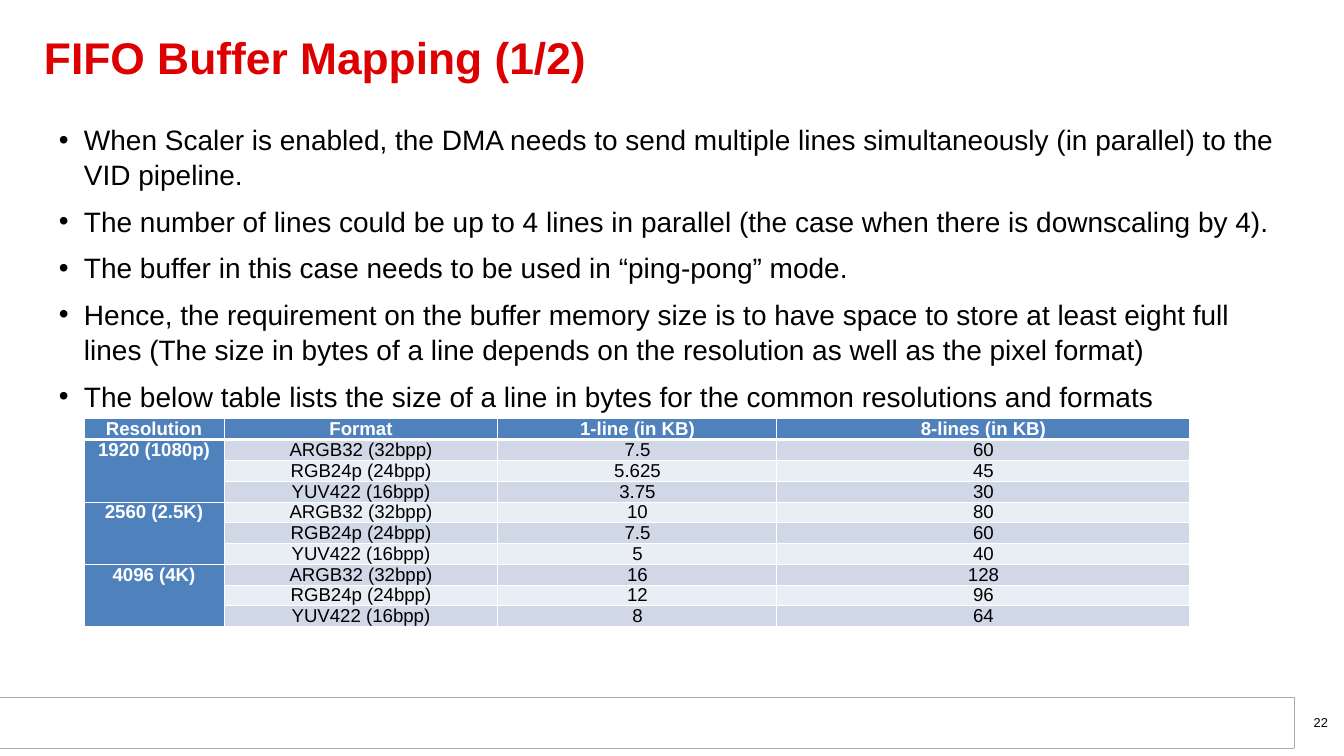
from lxml import etree
from pptx import Presentation
from pptx.dml.color import RGBColor
from pptx.enum.shapes import MSO_CONNECTOR, MSO_SHAPE
from pptx.enum.text import MSO_ANCHOR, MSO_AUTO_SIZE, PP_ALIGN
from pptx.oxml import parse_xml
from pptx.oxml.ns import nsdecls, qn
from pptx.util import Pt

PX = 914400 // 84
STRAIGHT, RECTANGLE = MSO_CONNECTOR.STRAIGHT, MSO_SHAPE.RECTANGLE
TOP, MIDDLE = MSO_ANCHOR.TOP, MSO_ANCHOR.MIDDLE
LEFT, CENTER, RIGHT = PP_ALIGN.LEFT, PP_ALIGN.CENTER, PP_ALIGN.RIGHT
NO_FIT = MSO_AUTO_SIZE.NONE

THEME = {
    "font": "Arial",
    "red": RGBColor.from_string("DE0000"),
    "black": RGBColor.from_string("000000"),
    "white": RGBColor.from_string("FFFFFF"),
    "rule": RGBColor.from_string("AAAAAA"),
    "header": RGBColor.from_string("4F81BD"),
    "bands": [RGBColor.from_string("D0D8E8"), RGBColor.from_string("E9EDF4")],
    "title_size": 38,
    "body_size": 24,
    "table_size": 16,
    "number_size": 11,
}


def write(paragraph, text, size, color, align=LEFT, bold=False):
    paragraph.alignment = align
    run = paragraph.add_run()
    run.text = text
    run.font.color.rgb = color
    formats = {"name": THEME["font"], "size": Pt(size), "bold": bold}
    for key, value in formats.items():
        setattr(run.font, key, value)


def set_frame(frame, anchor, side, end):
    formats = {
        "word_wrap": True, "auto_size": NO_FIT, "vertical_anchor": anchor,
        "margin_left": side * PX, "margin_right": side * PX,
        "margin_top": end * PX, "margin_bottom": end * PX,
    }
    for key, value in formats.items():
        setattr(frame, key, value)


prs = Presentation()
prs.slide_width, prs.slide_height = 1344 * PX, 756 * PX
slide = prs.slides.add_slide(prs.slide_layouts[5])
shapes = slide.shapes

footer = shapes.add_shape(RECTANGLE, 6 * PX, 697 * PX, 1284 * PX, 50 * PX)
footer.shadow.inherit = False
footer.fill.solid()
footer.fill.fore_color.rgb = THEME["white"]
footer.line.fill.background()

footer_rules = [(-1, 748, 1294, 748), (-1, 697, 1294, 697), (1294, 748, 1294, 697)]
for ends in footer_rules:
    rule = shapes.add_connector(STRAIGHT, *[end * PX for end in ends])
    rule.line.color.rgb = THEME["rule"]
    rule.line.width = Pt(0.75)
    etree.SubElement(rule._element.spPr, qn("a:effectLst"))

title = shapes.title
title.left, title.top, title.width, title.height = 34 * PX, 16 * PX, 1243 * PX, 90 * PX
set_frame(title.text_frame, MIDDLE, 10, 5)
heading = title.text_frame.paragraphs[0]
heading.line_spacing = 0.85
write(heading, "FIFO Buffer Mapping (1/2)", THEME["title_size"], THEME["red"], bold=True)

points = [
    "When Scaler is enabled, the DMA needs to send multiple lines simultaneously (in parallel) to the VID pipeline.",
    "The number of lines could be up to 4 lines in parallel (the case when there is downscaling by 4).",
    "The buffer in this case needs to be used in “ping-pong” mode.",
    "Hence, the requirement on the buffer memory size is to have space to store at least eight full lines (The size in bytes of a line depends on the resolution as well as the pixel format)",
    "The below table lists the size of a line in bytes for the common resolutions and formats",
]
body = shapes.add_textbox(49 * PX, 116 * PX, 1245 * PX, 545 * PX).text_frame
set_frame(body, TOP, 10, 5)
for index, point in enumerate(points):
    paragraph = body.paragraphs[0] if index == 0 else body.add_paragraph()
    write(paragraph, point, THEME["body_size"], THEME["black"])
    paragraph.space_before = Pt(9.6)
    paragraph.line_spacing = 1.05
    properties = paragraph._p.get_or_add_pPr()
    properties.set("marL", str(25 * PX))
    properties.set("indent", str(-25 * PX))
    etree.SubElement(properties, qn("a:buFont"), typeface=THEME["font"])
    etree.SubElement(properties, qn("a:buChar"), char="•")

page_number = shapes.add_textbox(1023 * PX, 711 * PX, 313 * PX, 23 * PX).text_frame
set_frame(page_number, MIDDLE, 8, 4)
write(page_number.paragraphs[0], "22", THEME["number_size"], THEME["black"], RIGHT)

headers = ["Resolution", "Format", "1-line (in KB)", "8-lines (in KB)"]
formats = ["ARGB32 (32bpp)", "RGB24p (24bpp)", "YUV422 (16bpp)"]
line_sizes = {
    "1920 (1080p)": [("7.5", "60"), ("5.625", "45"), ("3.75", "30")],
    "2560 (2.5K)": [("10", "80"), ("7.5", "60"), ("5", "40")],
    "4096 (4K)": [("16", "128"), ("12", "96"), ("8", "64")],
}
rows = [headers]
for resolution, sizes in line_sizes.items():
    for index, (pixel_format, pair) in enumerate(zip(formats, sizes)):
        rows.append([resolution if index == 0 else "", pixel_format, *pair])

column_widths = [140, 274, 279, 413]
table = shapes.add_table(len(rows), len(headers), 84 * PX, 419 * PX,
                         sum(column_widths) * PX, 20 * len(rows) * PX).table
table.first_col = True
table.horz_banding = False
for column, width in zip(table.columns, column_widths):
    column.width = width * PX
for row in table.rows:
    row.height = 20 * PX

for r, row in enumerate(rows):
    for c, text in enumerate(row):
        cell = table.cell(r, c)
        is_header = r == 0 or c == 0
        margins = {"margin_left": 6, "margin_right": 6, "margin_top": 0, "margin_bottom": 0}
        for key, value in margins.items():
            setattr(cell, key, value * PX)
        cell.vertical_anchor = TOP
        borders = {"lnL": 1, "lnR": 1, "lnT": 3 if r == 1 else 1, "lnB": 3 if r == 0 else 1}
        for side, weight in borders.items():
            cell._tc.get_or_add_tcPr().append(parse_xml(
                f'<a:{side} {nsdecls("a")} w="{Pt(weight)}"><a:solidFill>'
                f'<a:srgbClr val="{THEME["white"]}"/></a:solidFill></a:{side}>'))
        cell.fill.solid()
        cell.fill.fore_color.rgb = THEME["header"] if is_header else THEME["bands"][(r - 1) % 2]
        paragraph = cell.text_frame.paragraphs[0]
        paragraph.font.size = Pt(THEME["table_size"])
        if text:
            write(paragraph, text, THEME["table_size"],
                  THEME["white"] if is_header else THEME["black"], CENTER, is_header)

for first in range(1, len(rows), len(formats)):
    table.cell(first, 0).merge(table.cell(first + len(formats) - 1, 0))

prs.save("out.pptx")
